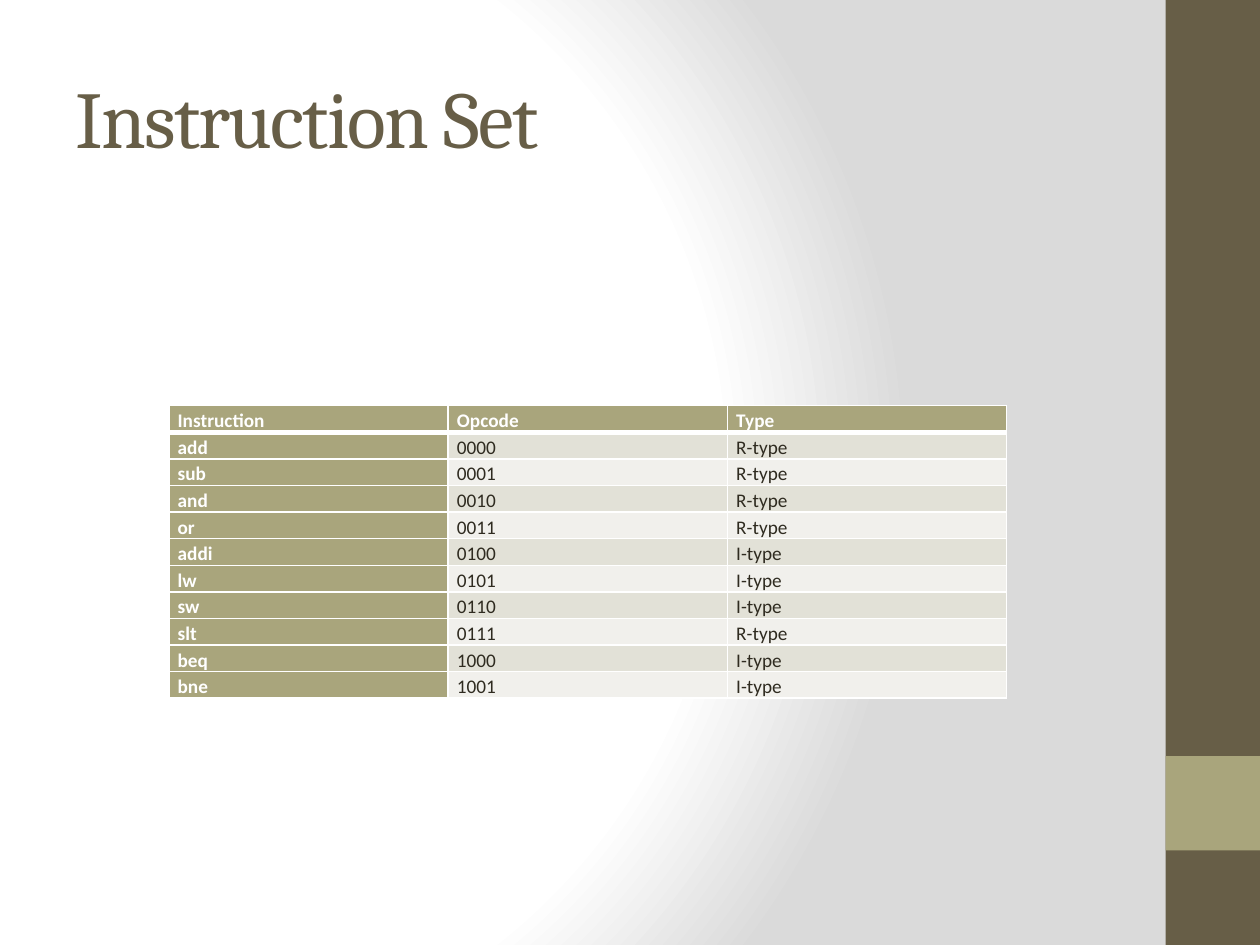
from pptx import Presentation
from pptx.dml.color import RGBColor
from pptx.enum.shapes import MSO_SHAPE
from pptx.enum.text import MSO_ANCHOR
from pptx.oxml import parse_xml
from pptx.oxml.ns import nsdecls
from pptx.util import Inches, Pt

BROWN, OLIVE, INK, WHITE = "675E47", "A9A57C", "2F2B20", "FFFFFF"
BANDS = ("E2E1D7", "F1F0EC")
HEADER = ("Instruction", "Opcode", "Type")
INSTRUCTIONS = (
    ("add", "R"), ("sub", "R"), ("and", "R"), ("or", "R"), ("addi", "I"),
    ("lw", "I"), ("sw", "I"), ("slt", "R"), ("beq", "I"), ("bne", "I"),
)


def rgb(value):
    """Return the colour for a hex string."""
    return RGBColor.from_string(value)


def style_run(r, font, size, color, bold=False):
    """Set the font of a run."""
    r.font.name, r.font.size, r.font.bold = font, Pt(size), bold
    r.font.color.rgb = rgb(color)


def add_background(s):
    """Fill the slide with a circular gradient."""
    stops = "".join(
        f'<a:gs pos="{pos * 1000}"><a:srgbClr val="{color}"/></a:gs>'
        for pos, color in ((0, WHITE), (75, WHITE), (100, "DADADA"))
    )
    s.element.cSld.insert(0, parse_xml(
        f'<p:bg {nsdecls("p", "a")}><p:bgPr><a:gradFill rotWithShape="1">'
        f'<a:gsLst>{stops}</a:gsLst><a:path path="circle">'
        '<a:fillToRect l="20000" t="50000" r="100000" b="50000"/></a:path>'
        '</a:gradFill><a:effectLst/></p:bgPr></p:bg>'
    ))


def add_sidebar(s, left, top, width, height):
    """Draw the side band with its square accent."""
    for y, h, color in ((top, height, BROWN), (top + 6, width, OLIVE)):
        sp = s.shapes.add_shape(
            MSO_SHAPE.RECTANGLE, Inches(left), Inches(y), Inches(width), Inches(h))
        sp.shadow.inherit = False
        sp.fill.solid()
        sp.fill.fore_color.rgb = rgb(color)
        sp.line.fill.background()


def add_title(s, left, top, width, height):
    """Place the slide title."""
    sp = s.shapes.add_textbox(Inches(left), Inches(top), Inches(width), Inches(height))
    tf = sp.text_frame
    tf.word_wrap = True
    tf.vertical_anchor = MSO_ANCHOR.MIDDLE
    tf.text = "Instruction Set"
    r = tf.paragraphs[0].runs[0]
    style_run(r, "Cambria", 46, BROWN)
    r.font._element.set("spc", "-100")


def set_borders(cell, top, bottom):
    """Give a cell white borders, with top and bottom widths in points."""
    tc_pr = cell._tc.get_or_add_tcPr()
    for i, (side, width) in enumerate((("L", 1), ("R", 1), ("T", top), ("B", bottom))):
        tc_pr.insert(i, parse_xml(
            f'<a:ln{side} {nsdecls("a")} w="{Pt(width)}"><a:solidFill>'
            f'<a:srgbClr val="{WHITE}"/></a:solidFill></a:ln{side}>'
        ))


def style_cell(cell, text, row, col):
    """Write one table cell and style it by its row and column."""
    head = row == 0 or col == 0
    cell.margin_left = cell.margin_right = Inches(0.07)
    cell.margin_top = cell.margin_bottom = 0
    cell.fill.solid()
    cell.fill.fore_color.rgb = rgb(OLIVE if head else BANDS[(row - 1) % 2])
    set_borders(cell, 3 if row == 1 else 1, 3 if row == 0 else 1)
    p = cell.text_frame.paragraphs[0]
    p.text = text
    p.line_spacing = 1.15
    style_run(p.runs[0], "Calibri", 11, WHITE if head else INK, head)


def add_instruction_table(s, left, top, width, height):
    """Place the table of instructions, numbered by opcode."""
    rows = [HEADER] + [
        (name, f"{code:04b}", f"{kind}-type")
        for code, (name, kind) in enumerate(INSTRUCTIONS)
    ]
    table = s.shapes.add_table(
        len(rows), len(HEADER),
        Inches(left), Inches(top), Inches(width), Inches(height)).table
    for i, row in enumerate(rows):
        for j, text in enumerate(row):
            style_cell(table.cell(i, j), text, i, j)


def main():
    """Build the slide and save it."""
    prs = Presentation()
    prs.slide_width, prs.slide_height = Inches(10), Inches(7.5)
    s = prs.slides.add_slide(prs.slide_layouts[6])
    add_background(s)
    add_sidebar(s, 9.25, 0, 0.75, 7.5)
    add_title(s, 0.5, 0.3, 8.33, 1.25)
    add_instruction_table(s, 1.34, 3.22, 6.65, 2.18)
    prs.save("out.pptx")


if __name__ == "__main__":
    main()
